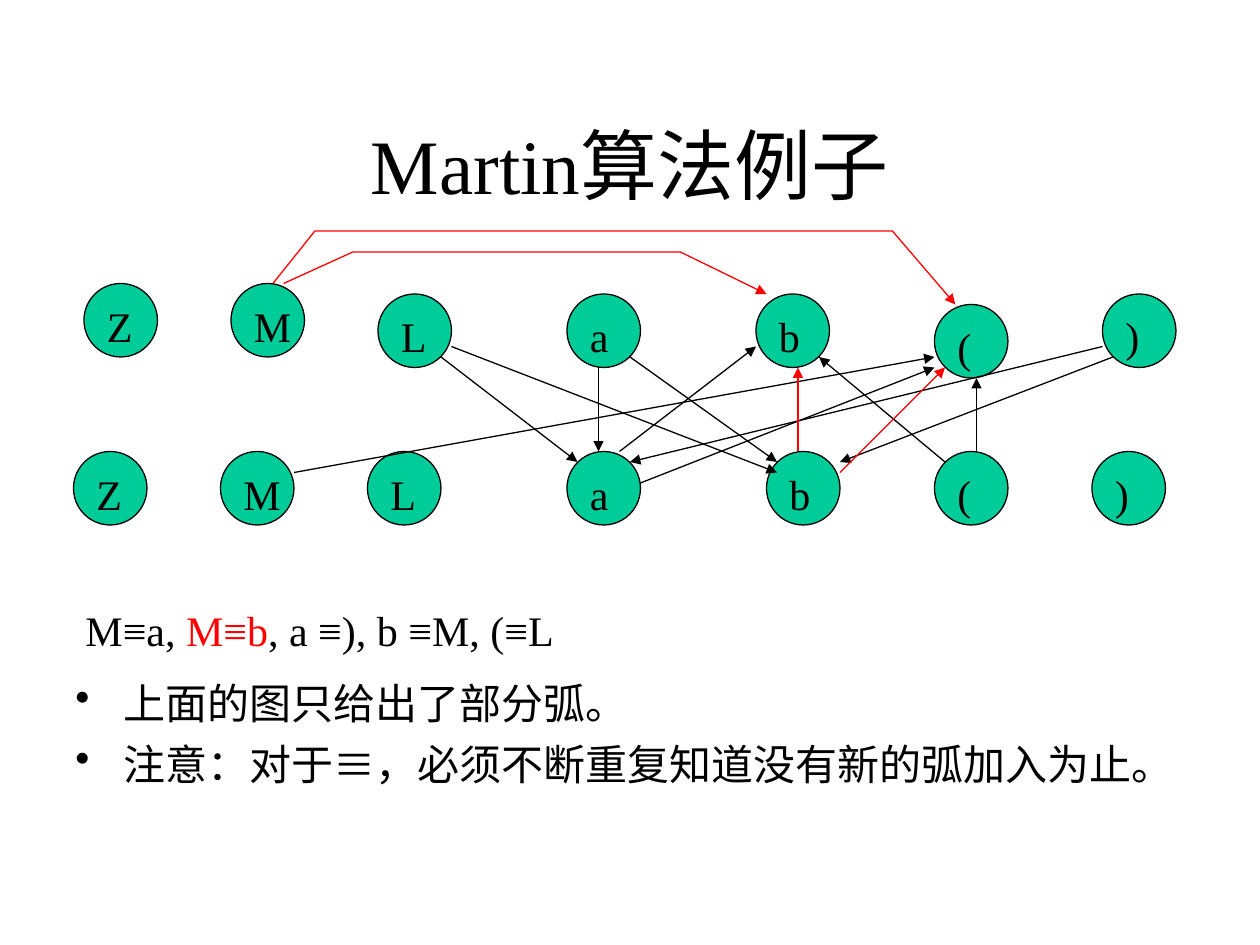
from pptx import Presentation
from pptx.dml.color import RGBColor
from pptx.enum.shapes import MSO_CONNECTOR, MSO_SHAPE
from pptx.enum.text import MSO_ANCHOR, PP_ALIGN
from pptx.oxml.ns import qn
from pptx.util import Inches, Pt
from lxml import etree

BLACK = RGBColor(0x00, 0x00, 0x00)
RED = RGBColor(0xFF, 0x00, 0x00)
GREEN = RGBColor(0x00, 0xCC, 0x99)
STRAIGHT = MSO_CONNECTOR.STRAIGHT
OVAL = MSO_SHAPE.OVAL
MIDDLE = MSO_ANCHOR.MIDDLE
CENTER = PP_ALIGN.CENTER
LEFT = PP_ALIGN.LEFT

# The diagram lies on a grid of twelfths of an inch.
SYMBOLS = ["Z", "M", "L", "a", "b", "(", ")"]
TOP_ROW = [(8, 27), (22, 27), (36, 28), (54, 28), (72, 28), (89, 29), (105, 28)]
BOTTOM_ROW = [(x, 43) for x in (7, 21, 35, 54, 73, 89, 104)]
NODE_SIZE = 7

BLACK_ARCS = [
    ((43, 33), (74, 45)), ((42, 34), (55, 44)), ((57, 35), (57, 43)),
    ((60, 34), (74, 44)), ((28, 45), (89, 34)), ((105, 33), (60, 44)),
    ((106, 34), (80, 44)), ((59, 43), (72, 33)), ((61, 46), (89, 35)),
    ((90, 44), (78, 34)), ((93, 43), (93, 36)),
]
RED_ARCS = [((76, 43), (76, 35)), ((80, 45), (90, 35))]
RED_BENT_ARCS = [
    [(27, 27), (33.6, 24), (64.8, 24), (73, 28)],
    [(26, 27), (30, 22), (85, 22), (91, 29)],
]


def grid(steps):
    """Length of a number of grid steps."""
    return Inches(steps / 12)


class Page:
    font_name = "Times New Roman"
    text_size = 24
    line_width = Pt(0.75)

    def __init__(self, slide):
        self.shapes = slide.shapes

    def style_line(self, shape, color, arrow=False):
        shape.line.color.rgb = color
        shape.line.width = self.line_width
        if arrow:
            line = shape.line._get_or_add_ln()
            etree.SubElement(line, qn("a:tailEnd"), type="triangle")

    def style_para(self, para, size, align=LEFT):
        para.alignment = align
        for span in para.runs:
            span.font.name = self.font_name
            span.font.size = Pt(size)
            span.font.color.rgb = BLACK

    def text(self, left, top, width, height, text, size=text_size, align=LEFT):
        box = self.shapes.add_textbox(left, top, width, height)
        frame = box.text_frame
        frame.word_wrap = True
        frame.text = text
        for para in frame.paragraphs:
            self.style_para(para, size, align)
        return frame

    def title(self, text):
        frame = self.text(Inches(0.75), Inches(0.67), Inches(8.5), Inches(1.25),
                          text, 44, CENTER)
        frame.vertical_anchor = MIDDLE

    def relations(self, parts):
        """One line of text made of (wording, colour) parts."""
        frame = self.text(Inches(0.58), Inches(4.75), Inches(7.75), Inches(0.5), "")
        para = frame.paragraphs[0]
        for wording, _ in parts:
            para.add_run().text = wording
        self.style_para(para, self.text_size)
        for span, (_, color) in zip(para.runs, parts):
            span.font.color.rgb = color

    def bullets(self, items):
        frame = self.text(Inches(0.5), Inches(5.33), Inches(9.08), Inches(1.08),
                          "\n".join(items))
        for index, para in enumerate(frame.paragraphs):
            props = para._p.get_or_add_pPr()
            props.set("marL", str(Inches(0.38)))
            props.set("indent", str(-Inches(0.38)))
            etree.SubElement(props, qn("a:buChar"), char="•")
            para.space_before = Pt(6 if index else 0)

    def node(self, symbol, x, y):
        circle = self.shapes.add_shape(OVAL, grid(x), grid(y),
                                       grid(NODE_SIZE), grid(NODE_SIZE))
        circle.shadow.inherit = False
        circle.fill.solid()
        circle.fill.fore_color.rgb = GREEN
        self.style_line(circle, BLACK)
        self.text(grid(x + 1), grid(y + 1), grid(NODE_SIZE), Inches(0.5), symbol)

    def arc(self, start, end, color):
        arrow = self.shapes.add_connector(STRAIGHT, *map(grid, start + end))
        etree.SubElement(arrow._element.spPr, qn("a:effectLst"))
        self.style_line(arrow, color, arrow=True)

    def bent_arc(self, points, color):
        start, *rest = [(grid(x), grid(y)) for x, y in points]
        builder = self.shapes.build_freeform(*start)
        builder.add_line_segments(rest, close=False)
        arrow = builder.convert_to_shape()
        arrow.shadow.inherit = False
        arrow.fill.background()
        self.style_line(arrow, color, arrow=True)


def main():
    deck = Presentation()
    deck.slide_width = Inches(10)
    deck.slide_height = Inches(7.5)
    page = Page(deck.slides.add_slide(deck.slide_layouts[6]))

    page.title("Martin算法例子")
    page.bullets(["上面的图只给出了部分弧。",
                  "注意：对于≡，必须不断重复知道没有新的弧加入为止。"])
    for row in (TOP_ROW, BOTTOM_ROW):
        for symbol, (x, y) in zip(SYMBOLS, row):
            page.node(symbol, x, y)
    for start, end in BLACK_ARCS:
        page.arc(start, end, BLACK)
    for points in RED_BENT_ARCS:
        page.bent_arc(points, RED)
    for start, end in RED_ARCS:
        page.arc(start, end, RED)
    page.relations([("M≡a, ", BLACK), ("M≡b", RED), (", a ≡), b ≡M, (≡L", BLACK)])

    deck.save("out.pptx")


if __name__ == "__main__":
    main()
